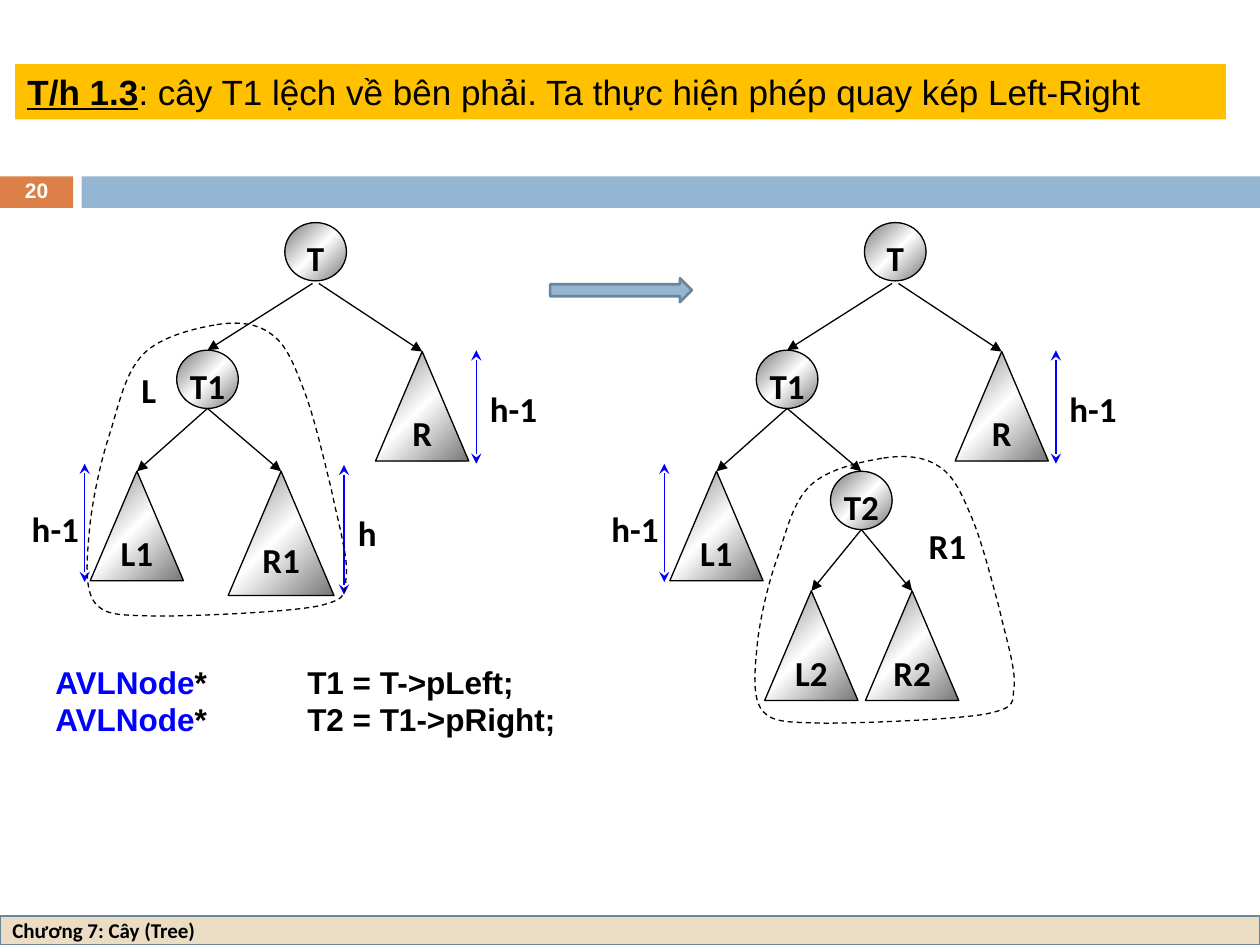
from copy import deepcopy
from typing import NamedTuple

from lxml.etree import SubElement
from pptx import Presentation
from pptx.dml.color import RGBColor as RGB
from pptx.enum.dml import MSO_LINE as Dash
from pptx.enum.shapes import MSO_CONNECTOR as Conn, MSO_SHAPE as Form
from pptx.enum.text import MSO_ANCHOR as Anchor, PP_ALIGN as Align
from pptx.oxml.ns import qn
from pptx.util import Pt

BLACK = RGB(0x00, 0x00, 0x00)
WHITE = RGB(0xFF, 0xFF, 0xFF)
GREY = RGB(0x76, 0x76, 0x76)
BLUE = RGB(0x00, 0x00, 0xFF)
SKY = RGB(0x94, 0xB6, 0xD2)
SLATE = RGB(0x6B, 0x85, 0x9A)
RUST = RGB(0xDD, 0x80, 0x47)
SAND = RGB(0xEB, 0xDD, 0xC3)
GOLD = RGB(0xFF, 0xC0, 0x00)

SHIFT = 331.2
CURVE = [
    (74.2, 2.2), (62.6, 4.3), (43.9, 8.6), (33.8, 18.7),
    (23.8, 28.8), (20.2, 45.4), (15.1, 62.6),
    (9.4, 79.2), (4.3, 103.7), (2.9, 119.5),
    (1.4, 136.1), (0, 152.6), (5.8, 160.6),
    (12.2, 168.5), (20.2, 167.8), (41.8, 168.5),
    (63.4, 168.5), (115.9, 166.3), (133.9, 162.7),
    (151.9, 158.4), (148.3, 155.5), (149.8, 144.7),
    (150.5, 133.2), (144.7, 113.8), (141.1, 95.8),
    (136.8, 78.5), (131, 53.3), (125.3, 38.9),
    (119.5, 23.8), (115.2, 13), (106.6, 7.2),
    (97.9, 0.7), (86.4, 0), (74.2, 2.2),
]


class Run(NamedTuple):
    text: str
    color: RGB = BLACK
    bold: bool = True
    under: bool = False


class Node(NamedTuple):
    name: str
    x: float
    y: float
    form: Form = Form.ISOSCELES_TRIANGLE
    wide: float = 53.3
    high: float = 62.6


class Edge(NamedTuple):
    start: str
    end: str
    side: float = 0
    drop: float = 0


class Span(NamedTuple):
    x: float
    top: float
    end: float


class Label(NamedTuple):
    text: str
    x: float
    y: float
    wide: float = 36


def ball(name: str, x: float, y: float) -> Node:
    return Node(name, x, y, Form.OVAL, 35.2, 33.3)


NODES = [ball("T", 162.8, 127.2), ball("T1", 101, 200.1),
         Node("L1", 51.6, 269.3), Node("R", 214.6, 200.9)]
EDGES = [Edge("T", "T1", -1.8, 1.5), Edge("T", "R", 1.8, 1.5), Edge("T1", "L1")]
SPANS = [Span(48.4, 265, 332.6), Span(272.2, 200.2, 265)]
LABELS = [Label("h-1", 13.7, 286.6), Label("h-1", 273.6, 218.2, 39.6)]


def write(shape, *lines: list[Run], size=20, font="Calibri", align=Align.LEFT,
          anchor=Anchor.TOP, space=None, inset=(7.2, 3.6), tab=None) -> None:
    frame = shape.text_frame
    frame.word_wrap = True
    frame.vertical_anchor = anchor
    frame.margin_left = frame.margin_right = Pt(inset[0])
    frame.margin_top = frame.margin_bottom = Pt(inset[1])
    for i, runs in enumerate(lines):
        para = frame.add_paragraph() if i else frame.paragraphs[0]
        para.alignment = align
        if space:
            para.line_spacing = space
        if tab:
            stops = SubElement(para._p.get_or_add_pPr(), qn("a:tabLst"))
            SubElement(stops, qn("a:tab"), pos=str(Pt(tab)), algn="l")
        for item in runs:
            run = para.add_run()
            run.text = item.text
            run.font.name = font
            run.font.size = Pt(size)
            run.font.bold = item.bold
            run.font.underline = item.under
            run.font.color.rgb = item.color


def name_tag(shape, text: str) -> None:
    write(shape, [Run(text)], align=Align.CENTER, space=1.13, inset=(0, 0))


def box(slide, x: float, y: float, wide: float, high: float, fill: RGB,
        line: RGB | None = None, form=Form.RECTANGLE):
    shape = slide.shapes.add_shape(form, Pt(x), Pt(y), Pt(wide), Pt(high))
    shape.shadow.inherit = False
    shape.fill.solid()
    shape.fill.fore_color.rgb = fill
    if line is None:
        shape.line.fill.background()
    else:
        shape.line.color.rgb = line
        shape.line.width = Pt(1.5)
    return shape


def shade(shape) -> None:
    shape.fill.gradient()
    shape.fill.gradient_angle = 315
    stops = shape._element.spPr.find(qn("a:gradFill")).find(qn("a:gsLst"))
    stops.insert(1, deepcopy(stops[0]))
    for stop, color, place in zip(shape.fill.gradient_stops, (GREY, WHITE, GREY), (0, 0.5, 1)):
        stop.color.rgb = color
        stop.position = place


def draw_node(slide, node: Node, dx: float):
    shape = box(slide, node.x + dx, node.y, node.wide, node.high, GREY, BLACK, node.form)
    shape.line.width = Pt(0.75)
    shade(shape)
    name_tag(shape, node.name)
    return shape


def arrow(slide, x1: int, y1: int, x2: int, y2: int, color: RGB, **ends: str):
    link = slide.shapes.add_connector(Conn.STRAIGHT, x1, y1, x2, y2)
    link.line.color.rgb = color
    link.line.width = Pt(0.75)
    props = link._element.spPr
    for end, kind in ends.items():
        SubElement(props.find(qn("a:ln")), qn(f"a:{end}"), type=kind)
    SubElement(props, qn("a:effectLst"))
    return link


def draw_tree(slide, dx: float, nodes: list[Node], edges: list[Edge],
              spans: list[Span], labels: list[Label]) -> None:
    shapes = {node.name: draw_node(slide, node, dx) for node in nodes}
    for edge in edges:
        top, low = shapes[edge.start], shapes[edge.end]
        link = arrow(slide, top.left + top.width // 2 + Pt(edge.side),
                     top.top + top.height + Pt(edge.drop),
                     low.left + low.width // 2, low.top, BLACK, tailEnd="triangle")
        link.end_connect(low, 0)
    for span in spans:
        arrow(slide, Pt(span.x + dx), Pt(span.top), Pt(span.x + dx), Pt(span.end),
              BLUE, headEnd="stealth", tailEnd="stealth")
    for label in labels:
        area = slide.shapes.add_textbox(Pt(label.x + dx), Pt(label.y), Pt(label.wide), Pt(30.2))
        name_tag(area, label.text)


def draw_loop(slide, x: float, y: float, scale: float = 1) -> None:
    first, *rest = [(Pt(x + px), Pt(y + py * scale)) for px, py in CURVE]
    pen = slide.shapes.build_freeform(*first)
    pen.add_line_segments(rest, close=True)
    loop = pen.convert_to_shape()
    loop.shadow.inherit = False
    loop.fill.background()
    loop.line.color.rgb = BLACK
    loop.line.width = Pt(0.75)
    loop.line.dash_style = Dash.DASH
    track = next(loop._element.iter(qn("a:path")))
    steps = track.findall(qn("a:lnTo"))
    for i in range(0, len(rest), 3):
        bend = SubElement(track, qn("a:cubicBezTo"))
        steps[i].addprevious(bend)
        for step in steps[i:i + 3]:
            bend.append(step[0])
            track.remove(step)


def main() -> None:
    deck = Presentation()
    deck.slide_width, deck.slide_height = Pt(720), Pt(540)
    slide = deck.slides.add_slide(deck.slide_layouts[6])

    badge = box(slide, 0, 100.8, 41.8, 18, RUST)
    write(badge, [Run("20", WHITE)], size=12, font="Arial", align=Align.CENTER,
          anchor=Anchor.MIDDLE, space=0.8)
    box(slide, 46.6, 100.8, 673.4, 18, SKY)
    foot = box(slide, 0, 523.4, 720, 16.6, SAND, SLATE)
    write(foot, [Run("Chương 7: Cây (Tree)")], size=12, anchor=Anchor.MIDDLE)

    draw_tree(slide, 0,
              NODES + [Node("R1", 130.4, 269.3, wide=60.5, high=71)],
              EDGES + [Edge("T1", "R1")],
              SPANS + [Span(196.6, 265.7, 339.8)],
              LABELS + [Label("h", 198, 289.4, 23.8), Label("L", 67, 207.4)])
    draw_loop(slide, 48.2, 183.6)

    draw_tree(slide, SHIFT,
              NODES + [ball("T2", 143.4, 269.3), Node("L2", 105.8, 337.7),
                       Node("R2", 163.4, 337.7)],
              EDGES + [Edge("T1", "T2"), Edge("T2", "L2"), Edge("T2", "R2")],
              SPANS, LABELS + [Label("R1", 192.2, 296.6)])
    draw_loop(slide, 429.8, 259.9, 0.91)

    box(slide, 314.4, 159, 81, 13.7, SKY, SLATE, Form.RIGHT_ARROW)
    code = slide.shapes.add_textbox(Pt(24.5), Pt(375.1), Pt(308.2), Pt(50.4))
    write(code, *([Run("AVLNode", BLUE), Run(f"*\t{rest}")]
                  for rest in ("T1 = T->pLeft;", "T2 = T1->pRight;")),
          size=18, font="Arial", tab=144)
    title = box(slide, 8.6, 36.7, 691.9, 31.5, GOLD)
    write(title, [Run("T/h 1.3", under=True),
                  Run(": cây T1 lệch về bên phải. Ta thực hiện phép quay kép Left-Right",
                      bold=False)], font="Arial")
    deck.save("out.pptx")


if __name__ == "__main__":
    main()
